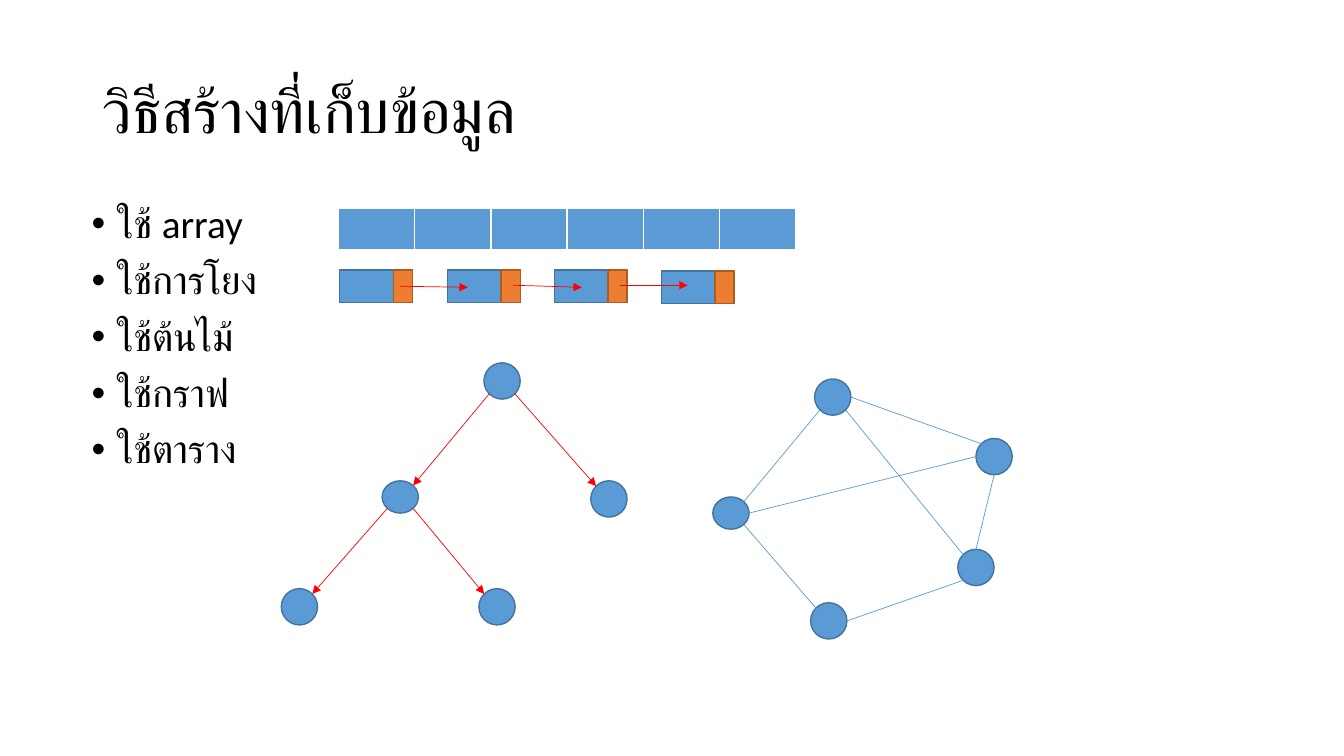
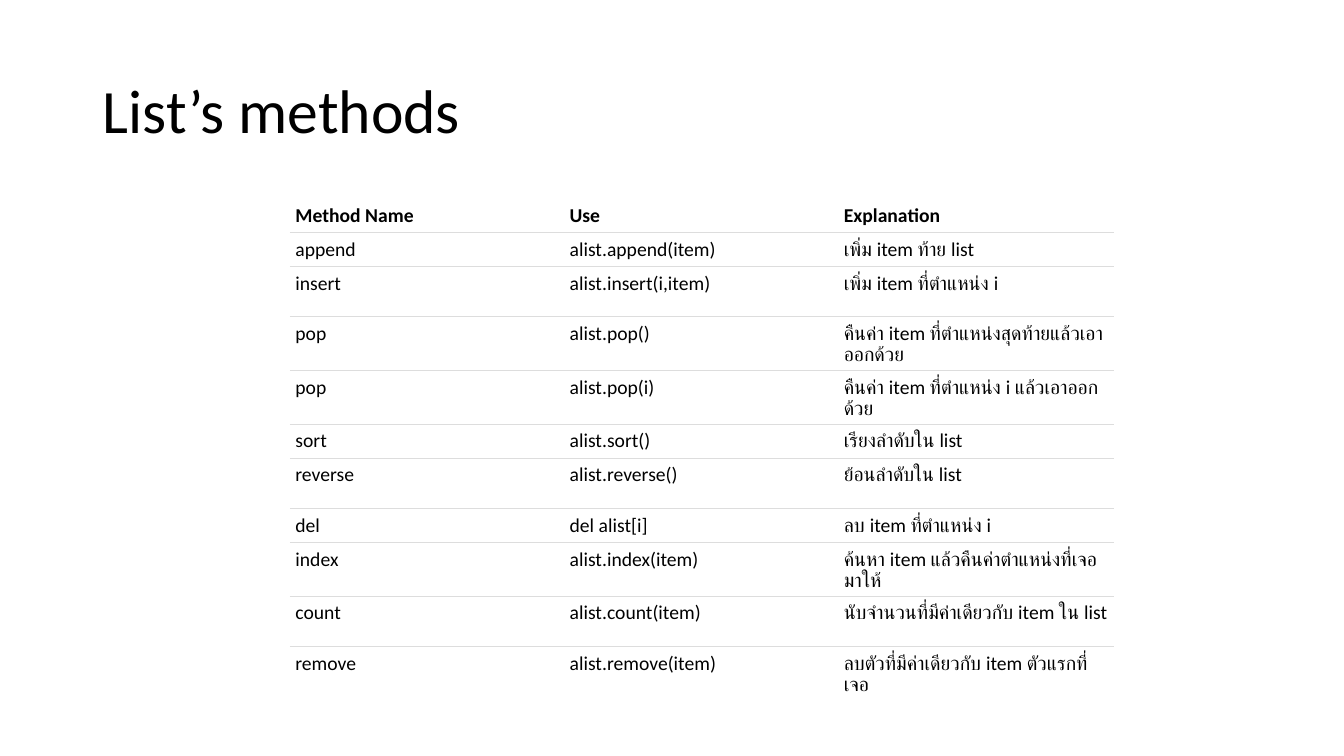
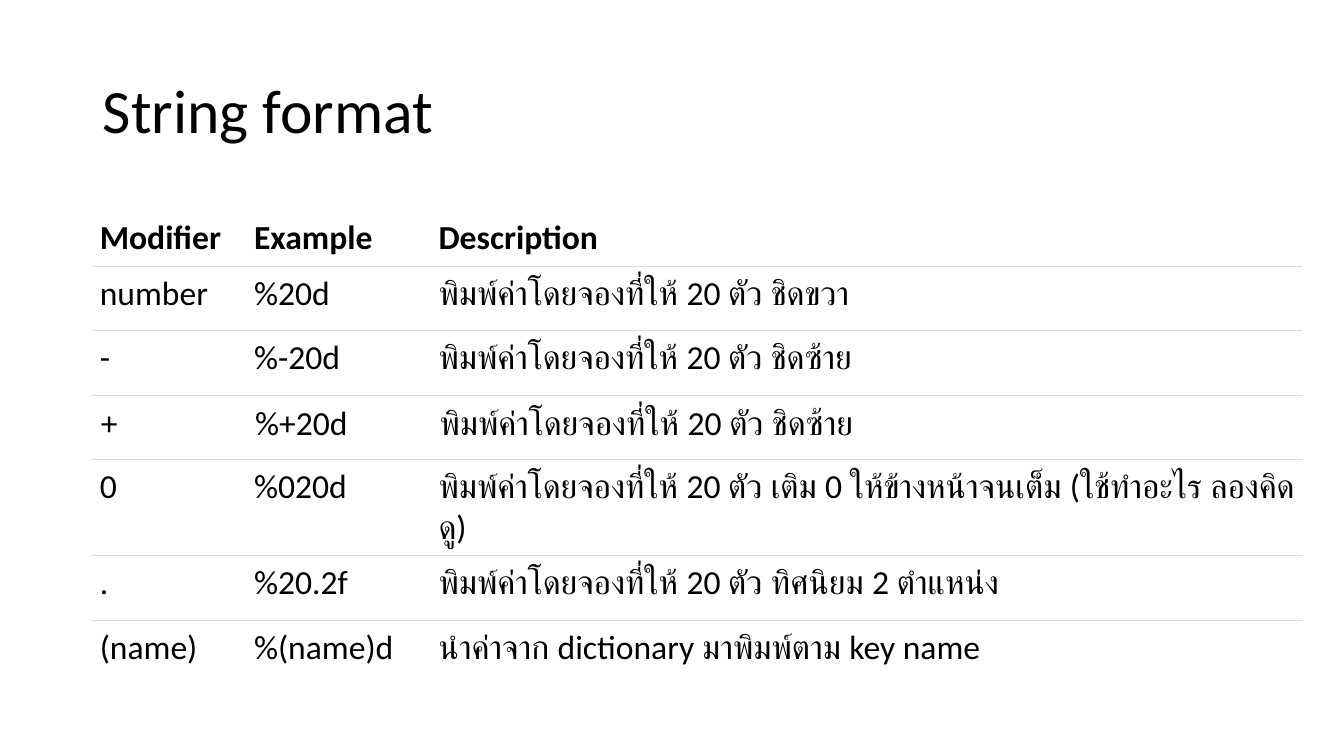
from lxml import etree
from pptx import Presentation
from pptx.dml.color import RGBColor
from pptx.enum.shapes import MSO_CONNECTOR, MSO_SHAPE
from pptx.enum.text import MSO_ANCHOR, MSO_AUTO_SIZE, PP_ALIGN
from pptx.oxml.ns import qn
from pptx.util import Inches, Pt

OVAL, BOX = MSO_SHAPE.OVAL, MSO_SHAPE.FLOWCHART_PROCESS
LINE = MSO_CONNECTOR.STRAIGHT
LEFT = PP_ALIGN.LEFT
TOP, MID, LOW = MSO_ANCHOR.TOP, MSO_ANCHOR.MIDDLE, MSO_ANCHOR.BOTTOM
FONT = "Calibri"
HEX = {"blue": "5B9BD5", "navy": "43739E", "orange": "ED7D31",
       "brown": "AF5C24", "red": "FF0000", "grey": "DDDDDD",
       "black": "000000", "white": "FFFFFF"}
RGB = {name: RGBColor.from_string(code) for name, code in HEX.items()}

deck = Presentation()
deck.slide_width, deck.slide_height = Inches(13.33), Inches(7.5)


def draw(kind, x, y, w, h, fill="blue", edge="navy"):
    shape = first.shapes.add_shape(kind, Inches(x), Inches(y), Inches(w), Inches(h))
    shape.shadow.inherit = False
    shape.fill.solid()
    shape.fill.fore_color.rgb = RGB[fill]
    shape.line.color.rgb = RGB[edge]
    shape.line.width = Pt(1)


def link(start, end, color, arrow):
    line = first.shapes.add_connector(LINE, *[Inches(v) for v in (*start, *end)])
    line.line.color.rgb = RGB[color]
    line.line.width = Pt(0.5)
    if arrow:
        etree.SubElement(line.line._get_or_add_ln(), qn("a:tailEnd"), type="triangle")
    etree.SubElement(line._element.spPr, qn("a:effectLst"))


# Slides and their titles
slides = []
for text, layout in [("วิธีสร้างที่เก็บข้อมูล", 1), ("List’s methods", 5), ("String format", 5)]:
    slide = deck.slides.add_slide(deck.slide_layouts[layout])
    title = slide.shapes.title
    title.left, title.top = Inches(0.92), Inches(0.4)
    title.width, title.height = Inches(11.5), Inches(1.45)
    frame = title.text_frame
    frame.text = text
    frame.auto_size = MSO_AUTO_SIZE.NONE
    frame.vertical_anchor = MID
    para = frame.paragraphs[0]
    para.alignment = LEFT
    para.line_spacing = 0.9
    para.font.name, para.font.size = FONT, Pt(44)
    para.font.color.rgb = RGB["black"]
    slides.append(slide)
first = slides[0]

# Bullet list
body = first.placeholders[1]
body.left, body.top = Inches(0.81), Inches(1.98)
body.width, body.height = Inches(11.5), Inches(4.76)
frame = body.text_frame
frame.text = "ใช้ array\nใช้การโยง\nใช้ต้นไม้\nใช้กราฟ\nใช้ตาราง"
frame.auto_size = MSO_AUTO_SIZE.NONE
for i, para in enumerate(frame.paragraphs):
    props = para._p.get_or_add_pPr()
    props.set("marL", str(Inches(0.25)))
    props.set("indent", str(-Inches(0.25)))
    para.line_spacing = 0.9
    para.space_before = Pt(10 if i else 0)
    etree.SubElement(props, qn("a:buChar"), char="•")
    para.font.name, para.font.size = FONT, Pt(28)
    para.font.color.rgb = RGB["black"]

# Array
array = first.shapes.add_table(1, 6, Inches(3.36), Inches(2.07),
                               Inches(4.53), Inches(0.41)).table
for cell in array.iter_cells():
    cell.fill.solid()
    cell.fill.fore_color.rgb = RGB["blue"]

# Linked list
cells = [(3.37, 2.68), (4.44, 2.68), (5.5, 2.68), (6.56, 2.69)]
for x, y in cells:
    draw(BOX, x, y, 0.72, 0.32)
    draw(BOX, x + 0.53, y, 0.19, 0.32, "orange", "brown")
for start, end in [((3.97, 2.84), (4.64, 2.85)), ((5.09, 2.83), (5.77, 2.85)),
                   ((6.15, 2.83), (6.82, 2.83))]:
    link(start, end, "red", True)

# Tree and graph: nodes, then edges between points on their rims
D = 0.71
rim = {"t": (0, -1), "b": (0, 1), "l": (-1, 0), "r": (1, 0),
       "tl": (-D, -D), "tr": (D, -D), "bl": (-D, D), "br": (D, D)}
tree = {"root": (4.8, 3.6, 0.36), "left": (3.79, 4.77, 0.32),
        "right": (5.86, 4.77, 0.36), "leaf1": (2.79, 5.84, 0.36),
        "leaf2": (4.75, 5.84, 0.36)}
graph = {"north": (8.08, 3.76, 0.36), "west": (7.07, 4.93, 0.32),
         "east": (9.68, 4.35, 0.36), "south": (8.04, 5.98, 0.36),
         "low": (9.5, 5.45, 0.36)}
limbs = [("root", "bl", "left", "tr"), ("root", "br", "right", "tl"),
         ("left", "br", "leaf2", "tl"), ("left", "bl", "leaf1", "tr")]
edges = [("west", "br", "south", "tl"), ("west", "tr", "north", "bl"),
         ("west", "r", "east", "l"), ("north", "br", "low", "tl"),
         ("north", "r", "east", "tl"), ("east", "b", "low", "t"),
         ("south", "r", "low", "bl")]
for nodes, pairs, color, arrow in [(tree, limbs, "red", True),
                                   (graph, edges, "blue", False)]:
    for x, y, h in nodes.values():
        draw(OVAL, x, y, 0.36, h)
    for a, side, b, goal in pairs:
        ends = []
        for node, spot in [(a, side), (b, goal)]:
            x, y, h = nodes[node]
            dx, dy = rim[spot]
            ends.append((x + 0.18 * (1 + dx), y + h / 2 * (1 + dy)))
        link(*ends, color, arrow)

# Tables of methods and modifiers
methods = [
    ("Method Name", "Use", "Explanation"),
    ("append", "alist.append(item)", "เพิ่ม item ท้าย list"),
    ("insert", "alist.insert(i,item)", "เพิ่ม item ที่ตำแหน่ง i"),
    ("pop", "alist.pop()", "คืนค่า item ที่ตำแหน่งสุดท้ายแล้วเอาออกด้วย"),
    ("pop", "alist.pop(i)", "คืนค่า item ที่ตำแหน่ง i แล้วเอาออกด้วย"),
    ("sort", "alist.sort()", "เรียงลำดับใน list"),
    ("reverse", "alist.reverse()", "ย้อนลำดับใน list"),
    ("del", "del alist[i]", "ลบ item ที่ตำแหน่ง i"),
    ("index", "alist.index(item)", "ค้นหา item แล้วคืนค่าตำแหน่งที่เจอมาให้"),
    ("count", "alist.count(item)", "นับจำนวนที่มีค่าเดียวกับ item ใน list"),
    ("remove", "alist.remove(item)", "ลบตัวที่มีค่าเดียวกับ item ตัวแรกที่เจอ"),
]
formats = [
    ("Modifier", "Example", "Description"),
    ("number", "%20d", "พิมพ์ค่าโดยจองที่ให้ 20 ตัว ชิดขวา"),
    ("-", "%-20d", "พิมพ์ค่าโดยจองที่ให้ 20 ตัว ชิดซ้าย"),
    ("+", "%+20d", "พิมพ์ค่าโดยจองที่ให้ 20 ตัว ชิดซ้าย"),
    ("0", "%020d", "พิมพ์ค่าโดยจองที่ให้ 20 ตัว เติม 0 ให้ข้างหน้าจนเต็ม (ใช้ทำอะไร ลองคิดดู)"),
    (".", "%20.2f", "พิมพ์ค่าโดยจองที่ให้ 20 ตัว ทิศนิยม 2 ตำแหน่ง"),
    ("(name)", "%(name)d", "นำค่าจาก dictionary มาพิมพ์ตาม key name"),
]
tall = [0.31, 0.31, 0.5, 0.5, 0.5, 0.31, 0.5, 0.31, 0.5, 0.5, 0.5]
plans = [(slides[1], methods, 2.88, 1.97, [2.72] * 3, tall, 14, 0.05),
         (slides[2], formats, 0.92, 2, [1.53, 1.83, 8.63], [0.64] * 6 + [0.9], 24, 0.07)]
for slide, rows, x, y, wide, high, size, pad in plans:
    table = slide.shapes.add_table(len(rows), 3, Inches(x), Inches(y),
                                   Inches(sum(wide)), Inches(sum(high))).table
    table.horz_banding = False
    for col, w in zip(table.columns, wide):
        col.width = Inches(w)
    for r, row in enumerate(rows):
        table.rows[r].height = Inches(high[r])
        gap = Inches(pad + 0.01 if row[0] == "+" else pad)
        for c, text in enumerate(row):
            cell = table.cell(r, c)
            cell.text = text
            cell.margin_left = cell.margin_right = gap
            cell.margin_top = cell.margin_bottom = gap
            cell.vertical_anchor = TOP if r else LOW
            cell.fill.solid()
            cell.fill.fore_color.rgb = RGB["white"]
            font = cell.text_frame.paragraphs[0].font
            font.name, font.size, font.bold = FONT, Pt(size), r == 0
            font.color.rgb = RGB["black"]
            # Grey rules between rows only
            props = cell._tc.get_or_add_tcPr()
            for tag, shown in [("a:lnB", r < len(rows) - 1), ("a:lnT", r > 0)]:
                if shown:
                    rule = etree.Element(qn(tag), w=str(Pt(0.75)))
                    paint = etree.SubElement(rule, qn("a:solidFill"))
                    etree.SubElement(paint, qn("a:srgbClr"), val=HEX["grey"])
                    props.insert(0, rule)

deck.save("out.pptx")
